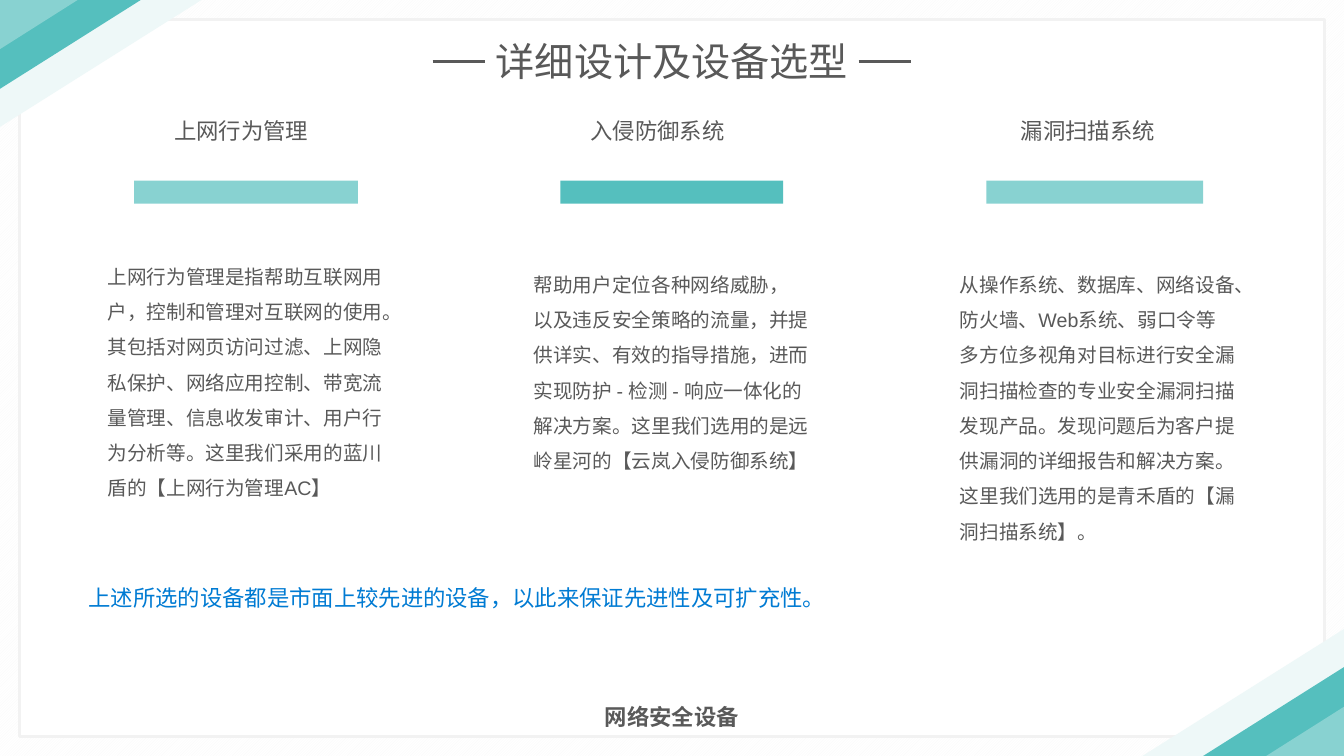
"""Build the slide on detailed design and selection of network security devices."""
import dataclasses

import lxml.etree
import pptx
import pptx.dml.color
import pptx.enum.dml
import pptx.enum.shapes
import pptx.enum.text
import pptx.oxml.ns
import pptx.util

Cm = pptx.util.Cm
SHAPES = pptx.enum.shapes.MSO_SHAPE
ALIGN = pptx.enum.text.PP_ALIGN


@dataclasses.dataclass(frozen=True)
class Theme:
    """Colours, fonts and type sizes."""
    white: str = "FFFFFF"
    stripe: str = "F8F8F8"
    frame: str = "F2F2F2"
    pale: str = "EEF8F8"
    teal: str = "55BFBE"
    light_teal: str = "88D2D1"
    text: str = "595959"
    accent: str = "007BD3"
    latin: str = "Arial"
    chinese: str = "Noto Sans CJK SC"
    title_size: int = 28
    heading_size: int = 16
    body_size: int = 14
    body_spacing: float = 1.5


THEME = Theme()

TITLE = "详细设计及设备选型"
CONCLUSION = "上述所选的设备都是市面上较先进的设备，以此来保证先进性及可扩充性。"
FOOTER = "网络安全设备"
COLUMNS = [
    {"heading": "上网行为管理", "heading_center": 6.08, "color": THEME.light_teal,
     "bar_width": 5.64, "body_top": 6.25, "body_height": 6.53,
     "body": "上网行为管理是指帮助互联网用户，控制和管理对互联网的使用。其包括对网页访问过滤、"
             "上网隐私保护、网络应用控制、带宽流量管理、信息收发审计、用户行为分析等。"
             "这里我们采用的蓝川盾的【上网行为管理AC】"},
    {"heading": "入侵防御系统", "heading_center": 16.57, "color": THEME.teal,
     "bar_width": 5.62, "body_top": 6.45, "body_height": 6.53,
     "body": "帮助用户定位各种网络威胁， 以及违反安全策略的流量，并提供详实、有效的指导措施，"
             "进而实现防护 - 检测 - 响应一体化的解决方案。"
             "这里我们选用的是远岭星河的【云岚入侵防御系统】"},
    {"heading": "漏洞扫描系统", "heading_center": 27.42, "color": THEME.light_teal,
     "bar_width": 5.46, "body_top": 6.45, "body_height": 8.33,
     "body": "从操作系统、数据库、网络设备、防火墙、Web系统、弱口令等多方位多视角对目标进行"
             "安全漏洞扫描检查的专业安全漏洞扫描发现产品。发现问题后为客户提供漏洞的详细报告"
             "和解决方案。这里我们选用的是青禾盾的【漏洞扫描系统】。"},
]
CORNER_TRIANGLES = [
    (5.08, 3.2, THEME.pale),
    (3.55, 2.24, THEME.teal),
    (1.96, 1.24, THEME.light_teal),
]

SLIDE_WIDTH, SLIDE_HEIGHT = 33.87, 19.05
FRAME_MARGIN = 0.49
TITLE_LEFT, TITLE_TOP, TITLE_WIDTH, TITLE_HEIGHT = 10.9, 0.81, 12.07, 1.45
RULE_LENGTH, RULE_TOP = 1.33, 1.55
BAR_LEFT, BAR_TOP, BAR_HEIGHT, COLUMN_PITCH = 3.38, 4.55, 0.58, 10.74
BODY_LEFT, BODY_WIDTH = 2.46, 7.44
HEADING_TOP, HEADING_WIDTH, HEADING_HEIGHT = 2.82, 3.89, 0.94


def rgb(value):
    """Turn a hex string into a colour."""
    return pptx.dml.color.RGBColor.from_string(value)


def add_block(slide, preset, left, top, width, height, color):
    """Add a plain filled shape without an outline."""
    shape = slide.shapes.add_shape(preset, Cm(left), Cm(top), Cm(width), Cm(height))
    shape.shadow.inherit = False
    shape.fill.solid()
    shape.fill.fore_color.rgb = rgb(color)
    shape.line.fill.background()
    return shape


def add_text(slide, text, left, top, width, height, size, color=THEME.text, bold=False,
             font=THEME.latin, align=ALIGN.CENTER, wrap=False, spacing=None):
    """Add a text box with one formatted paragraph."""
    box = slide.shapes.add_textbox(Cm(left), Cm(top), Cm(width), Cm(height))
    frame = box.text_frame
    frame.text = text
    frame.word_wrap = wrap
    frame.auto_size = pptx.enum.text.MSO_AUTO_SIZE.SHAPE_TO_FIT_TEXT
    paragraph = frame.paragraphs[0]
    paragraph.alignment = align
    paragraph.line_spacing = spacing
    for run in paragraph.runs:
        run.font.name = font
        run.font.size = pptx.util.Pt(size)
        run.font.bold = bold
        run.font.color.rgb = rgb(color)
        east_asian = lxml.etree.SubElement(run.font._element, pptx.oxml.ns.qn("a:ea"))
        east_asian.set("typeface", THEME.chinese)


def add_background(slide):
    """Add the striped ground, the white frame and the corner triangles."""
    ground = add_block(slide, SHAPES.RECTANGLE, 0, 0, SLIDE_WIDTH, SLIDE_HEIGHT, THEME.white)
    ground.fill.patterned()
    ground.fill.pattern = pptx.enum.dml.MSO_PATTERN.DARK_UPWARD_DIAGONAL
    ground.fill.fore_color.rgb = rgb(THEME.stripe)
    ground.fill.back_color.rgb = rgb(THEME.white)
    frame = add_block(slide, SHAPES.RECTANGLE, FRAME_MARGIN, FRAME_MARGIN,
                      SLIDE_WIDTH - 2 * FRAME_MARGIN, SLIDE_HEIGHT - 2 * FRAME_MARGIN,
                      THEME.white)
    frame.line.color.rgb = rgb(THEME.frame)
    frame.line.width = pptx.util.Pt(2.25)
    for rotation in (180, 0):
        for width, height, color in CORNER_TRIANGLES:
            left = SLIDE_WIDTH - width if rotation else 0
            top = SLIDE_HEIGHT - height if rotation else 0
            triangle = add_block(slide, SHAPES.RIGHT_TRIANGLE, left, top, width, height, color)
            triangle.rotation = rotation
            triangle._element.spPr.find(pptx.oxml.ns.qn("a:xfrm")).set("flipV", "1")


def add_title(slide):
    """Add the title with a short rule on each side."""
    add_text(slide, TITLE, TITLE_LEFT, TITLE_TOP, TITLE_WIDTH, TITLE_HEIGHT,
             THEME.title_size, font=THEME.chinese, wrap=True)
    for left in (TITLE_LEFT, TITLE_LEFT + TITLE_WIDTH - RULE_LENGTH):
        rule = slide.shapes.add_connector(
            pptx.enum.shapes.MSO_CONNECTOR.STRAIGHT,
            Cm(left), Cm(RULE_TOP), Cm(left + RULE_LENGTH), Cm(RULE_TOP))
        rule.line.color.rgb = rgb(THEME.text)
        rule.line.width = pptx.util.Pt(1.5)
        lxml.etree.SubElement(rule._element.spPr, pptx.oxml.ns.qn("a:effectLst"))


def add_column(slide, index, column):
    """Add one device column: heading, bar and description."""
    offset = index * COLUMN_PITCH
    add_block(slide, SHAPES.RECTANGLE, BAR_LEFT + offset, BAR_TOP,
              column["bar_width"], BAR_HEIGHT, column["color"])
    add_text(slide, column["heading"], column["heading_center"] - HEADING_WIDTH / 2,
             HEADING_TOP, HEADING_WIDTH, HEADING_HEIGHT, THEME.heading_size)
    add_text(slide, column["body"], BODY_LEFT + offset, column["body_top"], BODY_WIDTH,
             column["body_height"], THEME.body_size, align=ALIGN.LEFT, wrap=True,
             spacing=THEME.body_spacing)


def main():
    """Assemble and save the slide."""
    presentation = pptx.Presentation()
    presentation.slide_width = Cm(SLIDE_WIDTH)
    presentation.slide_height = Cm(SLIDE_HEIGHT)
    slide = presentation.slides.add_slide(presentation.slide_layouts[6])
    add_background(slide)
    add_title(slide)
    for index, column in enumerate(COLUMNS):
        add_column(slide, index, column)
    add_text(slide, CONCLUSION, 1.96, 14.6, 19.13, HEADING_HEIGHT,
             THEME.heading_size, color=THEME.accent)
    add_text(slide, FOOTER, (SLIDE_WIDTH - HEADING_WIDTH) / 2, 17.6, HEADING_WIDTH,
             HEADING_HEIGHT, THEME.heading_size, bold=True)
    presentation.save("out.pptx")


if __name__ == "__main__":
    main()
